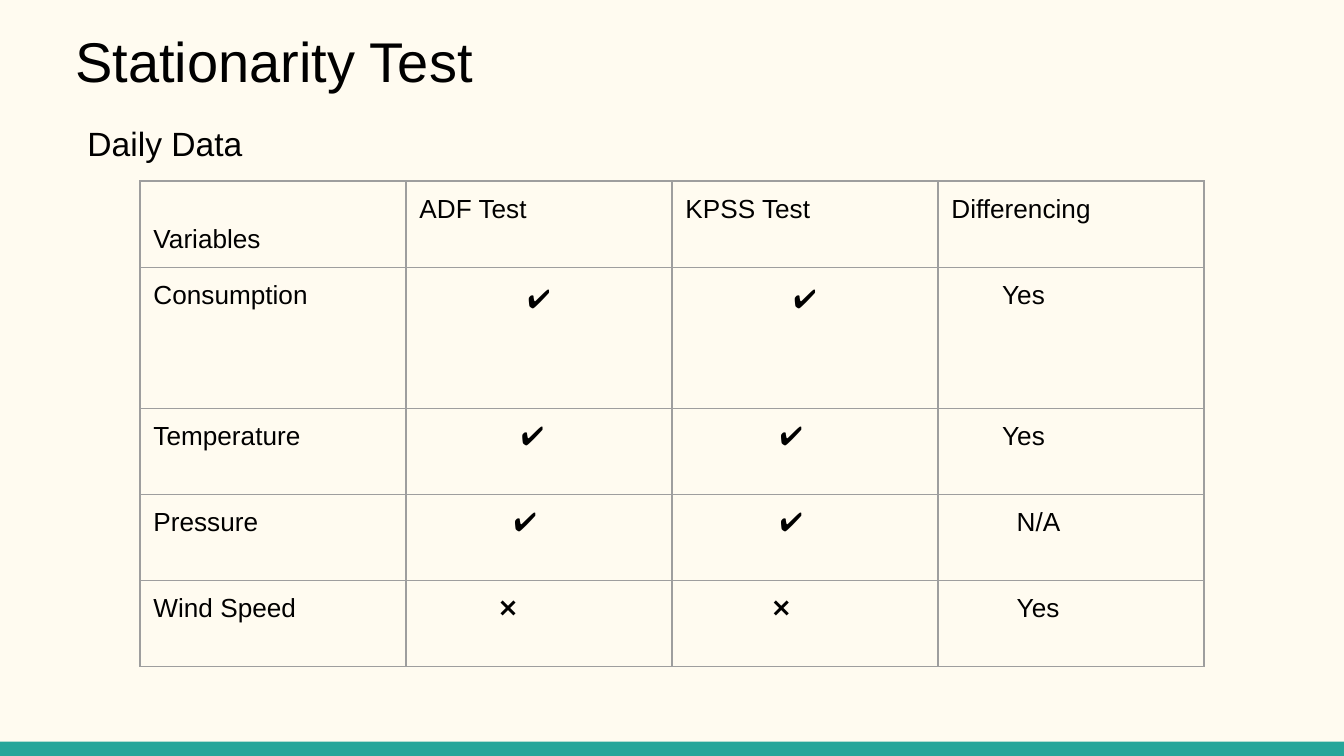
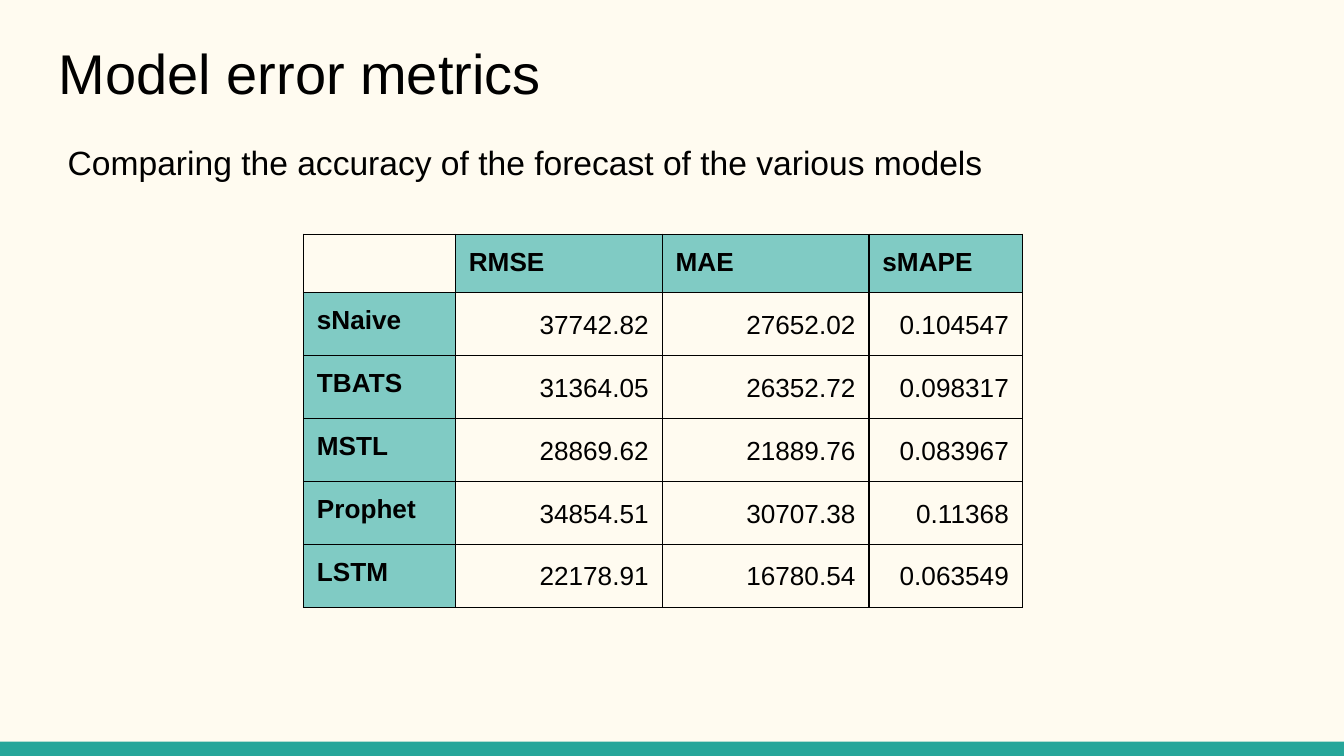
from lxml.etree import SubElement
from pptx import Presentation
from pptx.dml.color import RGBColor as Color
from pptx.enum.shapes import MSO_SHAPE as Shape
from pptx.enum.text import MSO_ANCHOR as Anchor, PP_ALIGN as Align
from pptx.oxml.ns import qn
from pptx.util import Pt

CREAM = Color(0xFF, 0xFB, 0xF0)
TEAL = Color(0x26, 0xA6, 0x9A)
LIGHT_TEAL = Color(0x80, 0xCB, 0xC4)
GREY = Color(0x9E, 0x9E, 0x9E)
BLACK = Color(0x00, 0x00, 0x00)

FONT = "Arial"
WIDTH, HEIGHT = 720, 405
BAND_HEIGHT = 7.6
INSET = 7.2
TITLE_SIZE, BODY_SIZE, CELL_SIZE = 30, 18, 14
LOOSE = 1.15

STATIONARITY = [
    ["Variables", "ADF Test", "KPSS Test", "Differencing"],
    ["Consumption", "✔", "✔", "Yes"],
    ["Temperature", "✔", "✔", "Yes"],
    ["Pressure", "✔", "✔", "N/A"],
    ["Wind Speed", "❌", "❌", "Yes"],
]
# Points by which each result is moved right; None centres it.
RESULT_INDENTS = [
    [None, None, 27.2],
    [54.5, 50.6, 27.2],
    [50.6, 50.6, 35],
    [42.8, 46.7, 35],
]

ERROR_METRICS = [
    ["", "RMSE", "MAE", "sMAPE"],
    ["sNaive", "37742.82", "27652.02", "0.104547"],
    ["TBATS", "31364.05", "26352.72", "0.098317"],
    ["MSTL", "28869.62", "21889.76", "0.083967"],
    ["Prophet", "34854.51", "30707.38", "0.11368"],
    ["LSTM", "22178.91", "16780.54", "0.063549"],
]


def apply_values(target, values):
    for name, value in values.items():
        setattr(target, name, value)


def stationarity_format(row, column):
    if row == 0:
        return {"cell": {"vertical_anchor": Anchor.BOTTOM}} if column == 0 else {}
    if column == 0:
        return {}
    indent = RESULT_INDENTS[row - 1][column - 1]
    if indent is None:
        return {"para": {"alignment": Align.CENTER, "line_spacing": LOOSE}}
    return {"cell": {"margin_left": Pt(INSET + indent)}}


def metrics_format(row, column):
    if row and column:
        return {"para": {"alignment": Align.RIGHT, "line_spacing": LOOSE}}
    if row or column:
        return {"font": {"bold": True}, "fill": LIGHT_TEAL}
    return {}


class SlideBuilder:
    def __init__(self):
        self.deck = Presentation()
        self.deck.slide_width, self.deck.slide_height = Pt(WIDTH), Pt(HEIGHT)
        self.page = None
        self.margins = {f"margin_{side}": Pt(INSET)
                        for side in ("left", "top", "right", "bottom")}

    def start_page(self):
        self.page = self.deck.slides.add_slide(self.deck.slide_layouts[6])
        background = self.page.background.fill
        background.solid()
        background.fore_color.rgb = CREAM
        band = self.page.shapes.add_shape(
            Shape.RECTANGLE, 0, Pt(HEIGHT - BAND_HEIGHT), Pt(WIDTH), Pt(BAND_HEIGHT))
        band.shadow.inherit = False
        band.fill.solid()
        band.fill.fore_color.rgb = TEAL
        band.line.fill.background()

    def add_span(self, para, text, size, bold=False):
        span = para.add_run()
        span.text = text
        apply_values(span.font, {"name": FONT, "size": Pt(size), "bold": bold})
        span.font.color.rgb = BLACK

    def add_text(self, area, text, size, **para_values):
        box = self.page.shapes.add_textbox(*map(Pt, area))
        apply_values(box.text_frame, {"word_wrap": True, **self.margins})
        para = box.text_frame.paragraphs[0]
        apply_values(para, para_values)
        self.add_span(para, text, size)

    def add_title(self, left, top, width, text):
        self.add_text((left, top, width, 48), text, TITLE_SIZE)

    def add_body(self, area, text, **para_values):
        self.add_text(area, text, BODY_SIZE, line_spacing=LOOSE, **para_values)

    def add_borders(self, cell, color):
        properties = cell._tc.get_or_add_tcPr()
        for side in ("a:lnL", "a:lnR", "a:lnT", "a:lnB"):
            line = SubElement(properties, qn(side), w=str(Pt(0.75)))
            fill = SubElement(line, qn("a:solidFill"))
            SubElement(fill, qn("a:srgbClr"), val=str(color))

    def add_table(self, left, top, widths, heights, rows, line_color, cell_format):
        """Draw rows of text; cell_format(row, column) gives the special formats."""
        frame = self.page.shapes.add_table(
            len(rows), len(widths), Pt(left), Pt(top), Pt(sum(widths)), Pt(sum(heights)))
        table = frame.table
        apply_values(table, {"first_row": False, "horz_banding": False})
        for column, width in zip(table.columns, widths):
            column.width = Pt(width)
        for row, height in zip(table.rows, heights):
            row.height = Pt(height)
        for row, texts in enumerate(rows):
            for column, text in enumerate(texts):
                self.fill_cell(table.cell(row, column), text, line_color,
                               cell_format(row, column))

    def fill_cell(self, cell, text, line_color, formats):
        apply_values(cell, {**self.margins, **formats.get("cell", {})})
        self.add_borders(cell, line_color)
        if "fill" in formats:
            cell.fill.solid()
            cell.fill.fore_color.rgb = formats["fill"]
        else:
            cell.fill.background()
        para = cell.text_frame.paragraphs[0]
        apply_values(para, formats.get("para", {}))
        if text:
            self.add_span(para, text, CELL_SIZE, **formats.get("font", {}))
        else:
            SubElement(para._p, qn("a:endParaRPr"), sz=str(CELL_SIZE * 100))


def main():
    builder = SlideBuilder()

    builder.start_page()
    builder.add_title(33.4, 7.2, 649, "Stationarity Test")
    builder.add_body((39.8, 55.4, 642, 35), "Daily Data", space_after=Pt(16))
    builder.add_table(75, 97, [142.5] * 4, [46.2, 75.5] + [46.2] * 3,
                      STATIONARITY, GREY, stationarity_format)

    builder.start_page()
    builder.add_title(24.4, 13.7, 671, "Model error metrics")
    builder.add_table(162.6, 125.5, [81.4, 110.8, 110.8, 82.2], [28] + [31] * 5,
                      ERROR_METRICS, BLACK, metrics_format)
    builder.add_body((29.2, 65.5, 671, 45),
                     "Comparing the accuracy of the forecast of the various models")

    builder.deck.save("out.pptx")


if __name__ == "__main__":
    main()
